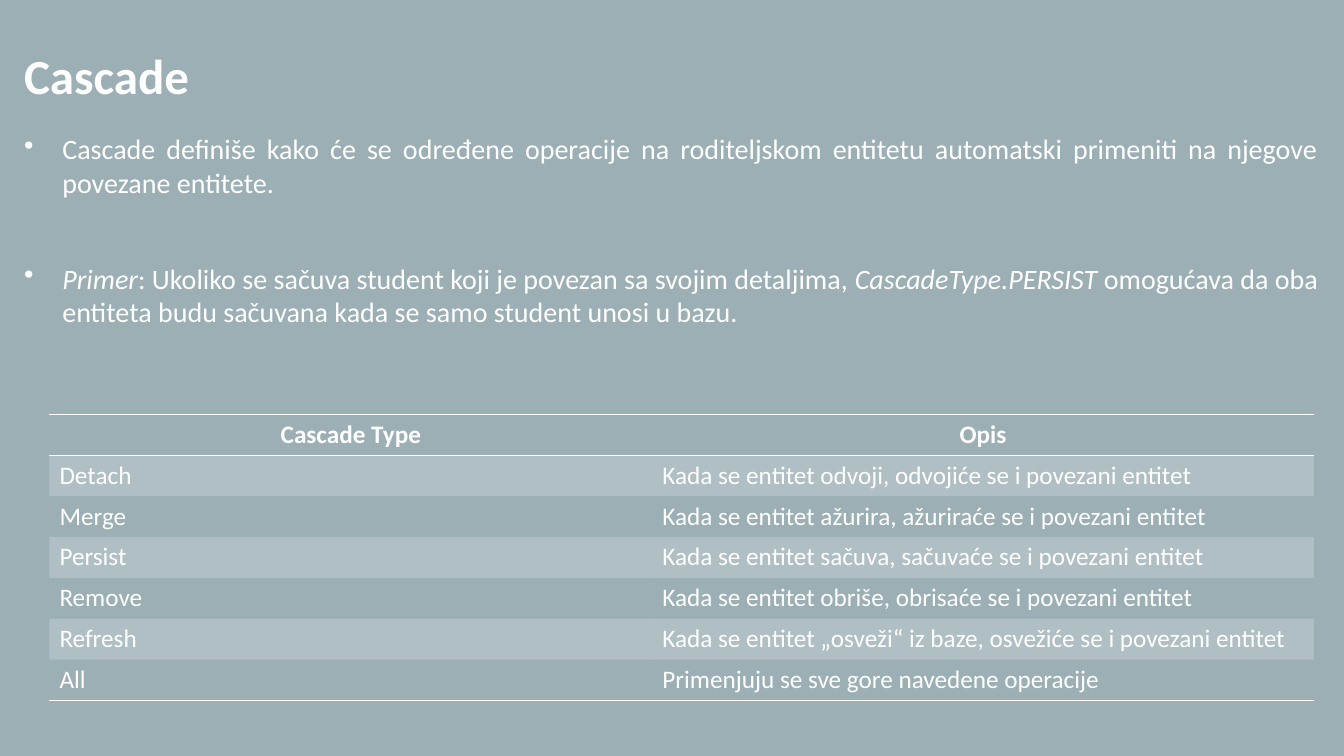
"""Builds a slide about cascade types with two bullets and a table."""
import pptx
import pptx.dml.color
import pptx.enum.text
import pptx.oxml
import pptx.oxml.ns
import pptx.util
from lxml import etree

Inches = pptx.util.Inches
Pt = pptx.util.Pt
Align = pptx.enum.text.PP_ALIGN
qn = pptx.oxml.ns.qn

BACK, WHITE = "9BAFB5", "FFFFFF"
FONT = "Calibri"
PLAIN = "{2D5ABB26-0587-4C30-8999-92F81FD0307C}"
TITLE = "Cascade"
POINTS = [
    [("Cascade definiše kako će se određene operacije na roditeljskom entitetu "
      "automatski primeniti na njegove povezane entitete.", False)],
    [("Primer", True),
     (": Ukoliko se sačuva student koji je povezan sa svojim detaljima, ", False),
     ("CascadeType.PERSIST", True),
     (" omogućava da oba entiteta budu sačuvana kada se samo student unosi u bazu.",
      False)],
]
ROWS = [
    ("Cascade Type", "Opis"),
    ("Detach", "Kada se entitet odvoji, odvojiće se i povezani entitet"),
    ("Merge", "Kada se entitet ažurira, ažuriraće se i povezani entitet"),
    ("Persist", "Kada se entitet sačuva, sačuvaće se i povezani entitet"),
    ("Remove", "Kada se entitet obriše, obrisaće se i povezani entitet"),
    ("Refresh", "Kada se entitet „osveži“ iz baze, osvežiće se i povezani entitet"),
    ("All", "Primenjuju se sve gore navedene operacije"),
]
WIDTHS = (5.98, 6.56)
HIGH = 2.84 / len(ROWS)


def color(code):
    return pptx.dml.color.RGBColor.from_string(code)


def style(para, size, align, bold=False):
    para.alignment = align
    font = para.font
    font.name, font.size, font.bold = FONT, Pt(size), bold
    font.color.rgb = color(WHITE)


def add_text(slide, left, top, width, height):
    frame = slide.shapes.add_textbox(
        Inches(left), Inches(top), Inches(width), Inches(height)).text_frame
    frame.word_wrap = True
    return frame


def add_bullet(para):
    props = para._p.get_or_add_pPr()
    props.set("marL", str(Inches(0.38)))
    props.set("indent", str(-Inches(0.38)))
    mark = etree.Element(qn("a:buChar"), char="•")
    props.insert_element_before(mark, "a:tabLst", "a:defRPr", "a:extLst")


def add_edge(cell, index, side):
    line = etree.Element(qn("a:" + side), w=str(Pt(1)))
    fill = etree.SubElement(line, qn("a:solidFill"))
    etree.SubElement(fill, qn("a:srgbClr"), val=WHITE)
    cell._tc.get_or_add_tcPr().insert(index, line)


def fill_cell(cell, row, text):
    head = row == 0
    cell.text = text
    style(cell.text_frame.paragraphs[0], 18,
          Align.CENTER if head else Align.LEFT, head)
    if row % 2:
        cell.fill.solid()
        cell.fill.fore_color.rgb = color(WHITE)
        tint = cell._tc.tcPr.find(".//" + qn("a:srgbClr"))
        etree.SubElement(tint, qn("a:alpha"), val="20000")
    else:
        cell.fill.background()
    sides = ["lnT"] if head else []
    if row in (0, len(ROWS) - 1):
        sides.append("lnB")
    for index, side in enumerate(sides):
        add_edge(cell, index, side)


def add_grid(slide):
    table = slide.shapes.add_table(
        len(ROWS), len(WIDTHS), Inches(0.49), Inches(4.11),
        Inches(sum(WIDTHS)), Inches(HIGH * len(ROWS))).table
    table._tbl.tblPr.find(qn("a:tableStyleId")).text = PLAIN
    for col, width in zip(table.columns, WIDTHS):
        col.width = Inches(width)
    for row, texts in enumerate(ROWS):
        table.rows[row].height = Inches(HIGH)
        for col, text in enumerate(texts):
            fill_cell(table.cell(row, col), row, text)


def main():
    deck = pptx.Presentation()
    deck.slide_width, deck.slide_height = Inches(13.33), Inches(7.5)
    slide = deck.slides.add_slide(deck.slide_layouts[6])
    slide.background.fill.solid()
    slide.background.fill.fore_color.rgb = color(BACK)

    body = add_text(slide, 0.14, 1.26, 13.03, 6.14)
    for index, runs in enumerate(POINTS):
        para = body.add_paragraph() if index else body.paragraphs[0]
        style(para, 20, Align.JUSTIFY)
        para.space_before = Pt(44.4 if index else 10)
        add_bullet(para)
        for text, slant in runs:
            run = para.add_run()
            run.text, run.font.italic = text, slant

    title = add_text(slide, 0.14, 0.47, 11.22, 0.64).paragraphs[0]
    title.text = TITLE
    style(title, 35, Align.JUSTIFY, True)
    title.line_spacing = 0.9
    title.space_before = Pt(10)

    add_grid(slide)
    deck.save("out.pptx")


if __name__ == "__main__":
    main()
